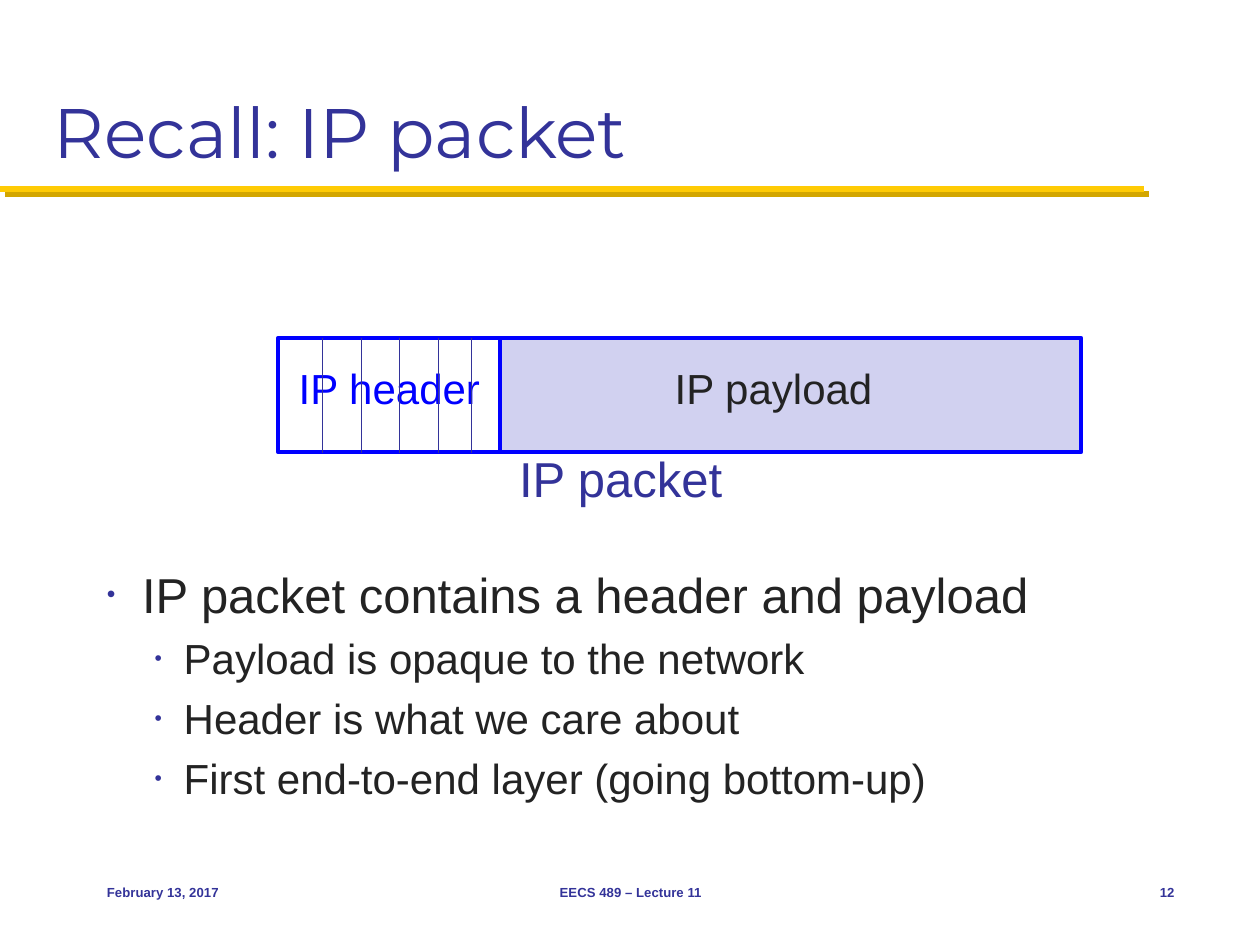
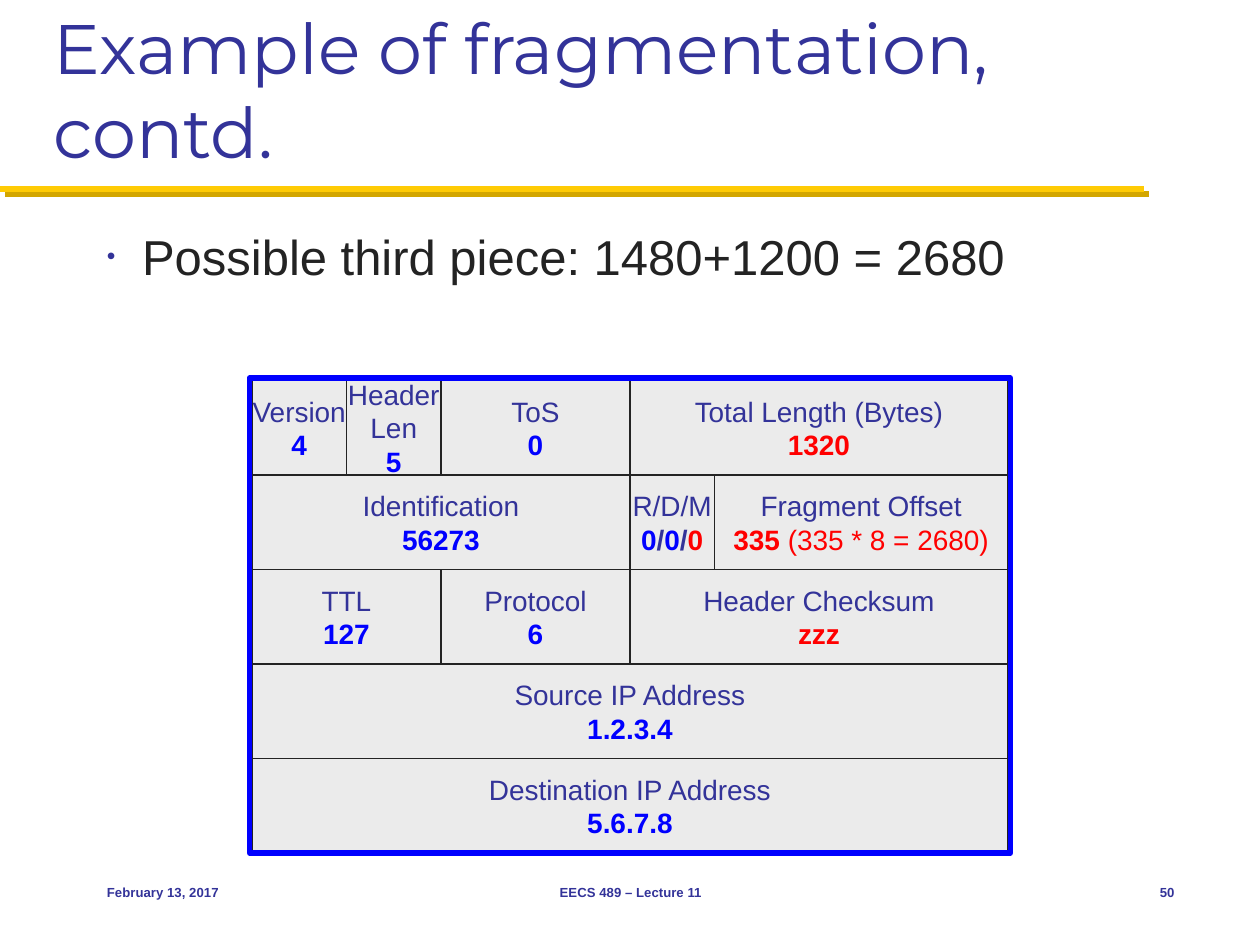
from lxml.etree import SubElement as Sub
from pptx import Presentation
from pptx.dml.color import RGBColor as RGB
from pptx.enum.dml import MSO_LINE as Dash
from pptx.enum.shapes import MSO_CONNECTOR as Conn, MSO_SHAPE as Form
from pptx.enum.text import MSO_ANCHOR as Anchor, PP_ALIGN as Align
from pptx.oxml.ns import qn
from pptx.util import Inches, Pt

NAVY, BLUE, RED, INK = "333399", "0000FF", "FF0000", "232323"
GOLD, OCHRE, LILAC, GREY, WHITE = "FFCB05", "D3A600", "D1D1F0", "EBEBEB", "FFFFFF"
LEFT, MID, RIGHT = Align.LEFT, Align.CENTER, Align.RIGHT


def paint(fill, color):
    """Give a shape, line or font fill a solid colour, or none."""
    if color:
        fill.solid()
        fill.fore_color.rgb = RGB.from_string(color)
    else:
        fill.background()


def box(slide, at, lines=(), fill=None, edge=None, width=0.75, align=MID,
        pad=(0.1, 0.05), font="Arial", **frame):
    """Add a text box or rectangle; each line is a list of (text, size, colour, bold)."""
    at = [Inches(v) for v in at]
    if fill or edge:
        shape = slide.shapes.add_shape(Form.RECTANGLE, *at)
        shape.shadow.inherit = False
        paint(shape.fill, fill)
        paint(shape.line.fill, edge)
        if edge:
            shape.line.width = Pt(width)
    else:
        shape = slide.shapes.add_textbox(*at)
    text = shape.text_frame
    side, end = Inches(pad[0]), Inches(pad[1])
    look = {"word_wrap": True, "vertical_anchor": Anchor.TOP,
            "margin_left": side, "margin_right": side,
            "margin_top": end, "margin_bottom": end}
    for key, val in (look | frame).items():
        setattr(text, key, val)
    for i, line in enumerate(lines):
        para = text.add_paragraph() if i else text.paragraphs[0]
        para.alignment = align
        for words, size, color, bold in line:
            run = para.add_run()
            run.text = words
            for key, val in {"name": font, "size": Pt(size), "bold": bold}.items():
                setattr(run.font, key, val)
            paint(run.font.fill, color)
    return shape


deck = Presentation()
deck.slide_width, deck.slide_height = Inches(10), Inches(7.5)

# Title, gold band, bullets and footer of each slide; bullets are (level, text)
pages = [
    ("Recall: IP packet", "12", 4.43, 2.16, [
        (0, "IP packet contains a header and payload"),
        (1, "Payload is opaque to the network"),
        (1, "Header is what we care about"),
        (1, "First end-to-end layer (going bottom-up)")]),
    ("Example of fragmentation, contd.", "50", 1.75, 4.83, [
        (0, "Possible third piece: 1480+1200 = 2680")]),
]
levels = [(28, 0.28, 0.28), (24, 0.61, 0.23)]  # size, margin, hanging indent

for title, page, top, high, points in pages:
    slide = deck.slides.add_slide(deck.slide_layouts[6])
    for shift, color in ((0.04, OCHRE), (0, GOLD)):
        band = slide.shapes.add_connector(
            Conn.STRAIGHT, Inches(shift), Inches(1.5 + shift),
            Inches(9.08 + shift), Inches(1.5 + shift))
        paint(band.line.fill, color)
        band.line.width = Pt(3.5)
    box(slide, (0.33, 0.17, 9.33, 1.25), [[(title, 40, NAVY, False)]],
        align=LEFT, font="Montserrat", vertical_anchor=Anchor.BOTTOM)

    body = box(slide, (0.75, top, 8.67, high),
               [[(words, levels[lev][0], INK, False)] for lev, words in points],
               align=LEFT)
    for para, (lev, words) in zip(body.text_frame.paragraphs, points):
        size, margin, hang = levels[lev]
        para.level = lev
        para.space_before = Pt(size * 0.23)
        prop = para._p.get_or_add_pPr()
        prop.set("marL", str(Inches(margin)))
        prop.set("indent", str(-Inches(hang)))
        Sub(Sub(prop, qn("a:buClr")), qn("a:srgbClr"), val=NAVY)
        Sub(prop, qn("a:buSzPct"), val="50000")
        Sub(prop, qn("a:buFont"), typeface="Arial")
        Sub(prop, qn("a:buChar"), char="•")

    for left, wide, words, align in ((0.75, 2.08, "February 13, 2017", LEFT),
                                     (3.42, 3.17, "EECS 489 – Lecture 11", MID),
                                     (8.75, 0.67, page, RIGHT)):
        box(slide, (left, 6.83, wide, 0.5), [[(words, 7.5, NAVY, True)]],
            align=align, vertical_anchor=Anchor.MIDDLE)

recall, sample = deck.slides

# Packet: header and payload
box(recall, (2.21, 2.68, 1.77, 0.91), fill=WHITE, edge=BLUE, width=2.25)
box(recall, (3.97, 2.68, 4.61, 0.91), fill=LILAC, edge=BLUE, width=2.25)
box(recall, (2.13, 2.83, 1.92, 0.5), [[("IP header", 24, BLUE, False)]])
box(recall, (4.11, 2.83, 4.06, 0.5), [[("IP payload", 24, INK, False)]], fill=LILAC)
for x in (2.56, 2.87, 3.17, 3.48, 3.74):
    rule = recall.shapes.add_connector(
        Conn.STRAIGHT, Inches(x), Inches(2.68), Inches(x), Inches(3.59))
    paint(rule.line.fill, NAVY)
    rule.line.width = Pt(0.25)
    rule.line.dash_style = Dash.ROUND_DOT
box(recall, (3.8, 3.51, 2.25, 0.57), [[("IP packet", 28, NAVY, False)]])

# Header fields: width, labels, then value runs (text, colour, bold)
unit = 0.75
rows = [
    [(0.75, ["Version"], [("4", BLUE, True)]),
     (0.75, ["Header", "Len"], [("5", BLUE, True)]),
     (1.5, ["ToS"], [("0", BLUE, True)]),
     (3, ["Total Length (Bytes)"], [("1320", RED, True)])],
    [(3, ["Identification"], [("56273", BLUE, True)]),
     (0.67, ["R/D/M"], [("0", BLUE, True), ("/", NAVY, True), ("0", BLUE, True),
                        ("/", NAVY, True), ("0", RED, True)]),
     (2.33, ["Fragment Offset"], [("335 ", RED, True),
                                  ("(335 * 8 = 2680)", RED, False)])],
    [(1.5, ["TTL"], [("127", BLUE, True)]),
     (1.5, ["Protocol"], [("6", BLUE, True)]),
     (3, ["Header Checksum"], [("zzz", RED, True)])],
    [(6, ["Source IP Address"], [("1.2.3.4", BLUE, True)])],
    [(6, ["Destination IP Address"], [("5.6.7.8", BLUE, True)])],
]
for i, row in enumerate(rows):
    x = 2
    for wide, labels, value in row:
        lines = [[(label, 16, NAVY, False)] for label in labels]
        lines.append([(words, 16, color, bold) for words, color, bold in value])
        box(sample, (x, 3.02 + i * unit, wide, unit), lines, fill=GREY, edge=INK,
            pad=(0, 0), word_wrap=False, vertical_anchor=Anchor.MIDDLE)
        x += wide
box(sample, (1.98, 3, 6.04, 3.77), edge=BLUE, width=3)

# Connectors carry no theme shadow
for slide in deck.slides:
    for line in slide.shapes:
        if hasattr(line, "begin_x"):
            Sub(line._element.spPr, qn("a:effectLst"))

deck.save("out.pptx")
